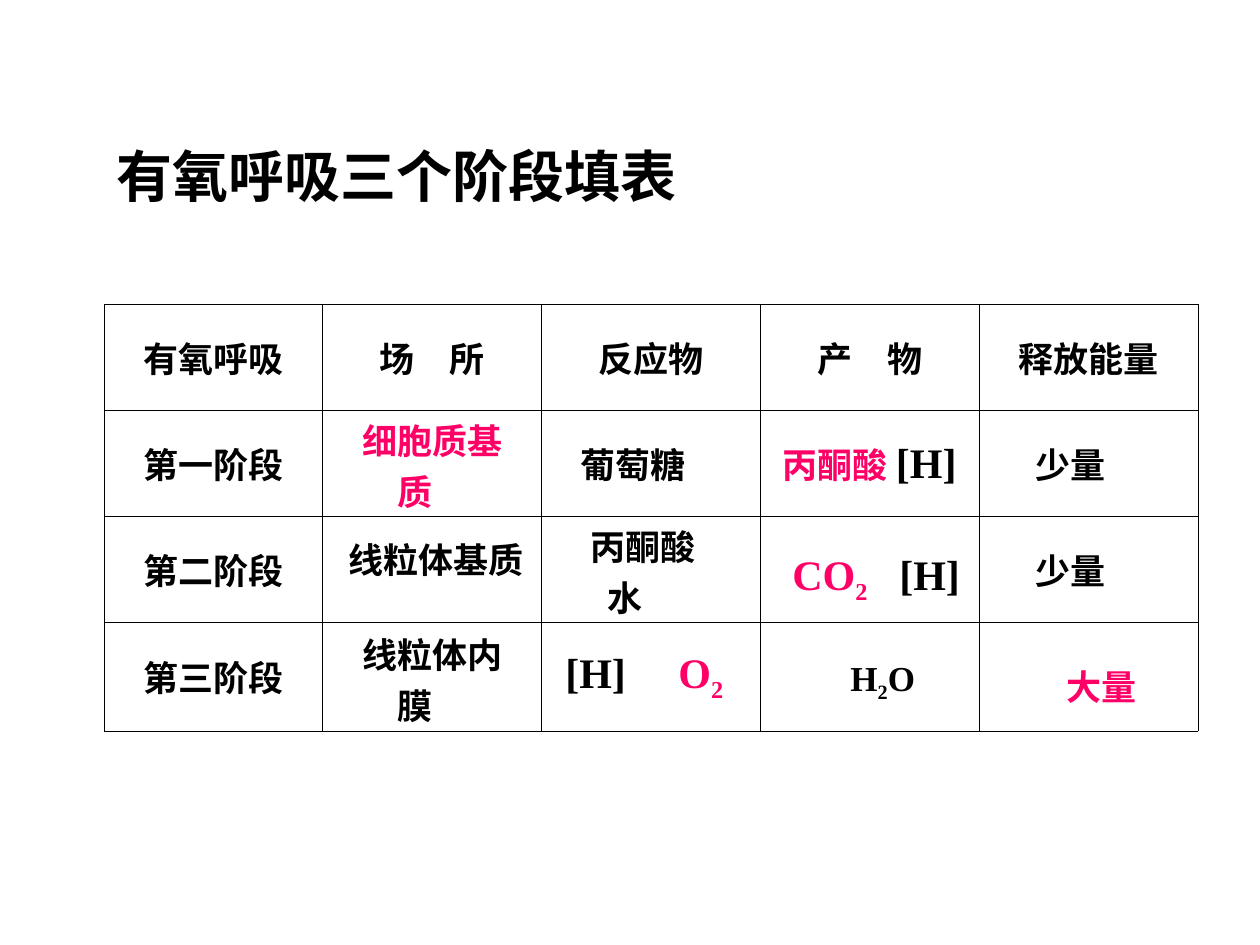
from lxml import etree
from pptx import Presentation
from pptx.dml.color import RGBColor
from pptx.enum.text import MSO_ANCHOR, PP_ALIGN
from pptx.oxml.ns import qn
from pptx.util import Pt

PX = 914400 // 126
BLACK = RGBColor(0x00, 0x00, 0x00)
PINK = RGBColor(0xFF, 0x00, 0x66)
FONT = "Times New Roman"
CENTER = PP_ALIGN.CENTER
MIDDLE = MSO_ANCHOR.MIDDLE


def write(paragraph, text, size=20, color=BLACK, subscript=False):
    run = paragraph.add_run()
    run.text = text
    run.font.name = FONT
    run.font.size = Pt(size)
    run.font.bold = True
    run.font.color.rgb = color
    if subscript:
        run.font._element.set("baseline", "-25000")


def draw_borders(cell):
    properties = cell._tc.get_or_add_tcPr()
    for position, side in enumerate(("lnL", "lnR", "lnT", "lnB")):
        line = etree.Element(qn(f"a:{side}"), w=str(Pt(0.34)))
        fill = etree.SubElement(line, qn("a:solidFill"))
        etree.SubElement(fill, qn("a:srgbClr"), val=str(BLACK))
        properties.insert(position, line)


prs = Presentation()
prs.slide_width = 1260 * PX
prs.slide_height = 945 * PX
slide = prs.slides.add_slide(prs.slide_layouts[6])

# Table of the three stages; each cell is a list of (text, format) runs
pink = {"color": PINK}
stages = [
    [[("有氧呼吸", {})], [("场　所", {})], [("反应物", {})],
     [("产　物", {})], [("释放能量", {})]],
    [[("第一阶段", {})], [("细胞质基质　", pink)], [("葡萄糖　", {})],
     [("丙酮酸 ", pink), ("[H]", {"size": 24})], [("少量　", {})]],
    [[("第二阶段", {})], [], [("丙酮酸 水　", {})], [], [("少量　", {})]],
    [[("第三阶段", {})], [("线粒体内膜　", {})], [], [], []],
]
row_heights = [106, 106, 106, 109]
two_line_cells = [(1, 1), (2, 2), (3, 1)]

table = slide.shapes.add_table(4, 5, 104 * PX, 304 * PX, 1094 * PX,
                               sum(row_heights) * PX).table
table.first_row = False
table.horz_banding = False
for r, (height, stage) in enumerate(zip(row_heights, stages)):
    table.rows[r].height = height * PX
    for c, runs in enumerate(stage):
        cell = table.cell(r, c)
        cell.vertical_anchor = MIDDLE
        cell.fill.background()
        draw_borders(cell)
        if (r, c) in two_line_cells:
            cell.margin_top = 4 * PX
            cell.margin_bottom = 0
        paragraph = cell.text_frame.paragraphs[0]
        paragraph.alignment = CENTER
        for text, style in runs:
            write(paragraph, text, **style)
# A narrower line puts water below pyruvate
table.cell(2, 2).margin_right = 29 * PX

# Title and the answers laid over the table: box, tab stop, runs
big = {"size": 24}
big_pink = {"size": 24, "color": PINK}
labels = [
    ((104, 135, 635, 81), None, [("有氧呼吸三个阶段填表", {"size": 32})]),
    ((780, 542, 200, 71), 107,
     [("CO", big_pink), ("2", {**big_pink, "subscript": True}), ("\t[H]", big)]),
    ((336, 532, 206, 55), None, [("线粒体基质", {})]),
    ((838, 650, 100, 60), None,
     [("H", {}), ("2", {"subscript": True}), ("O", {})]),
    ((1054, 659, 102, 55), None, [("大量", pink)]),
    ((553, 640, 200, 71), 113,
     [("[H]\t", big), ("O", big_pink), ("2", {**big_pink, "subscript": True})]),
]
for box, tab, runs in labels:
    frame = slide.shapes.add_textbox(*(length * PX for length in box)).text_frame
    frame.word_wrap = True
    paragraph = frame.paragraphs[0]
    if tab:
        tabs = etree.SubElement(paragraph._p.get_or_add_pPr(), qn("a:tabLst"))
        etree.SubElement(tabs, qn("a:tab"), pos=str(tab * PX), algn="l")
    for text, style in runs:
        write(paragraph, text, **style)

prs.save("out.pptx")
